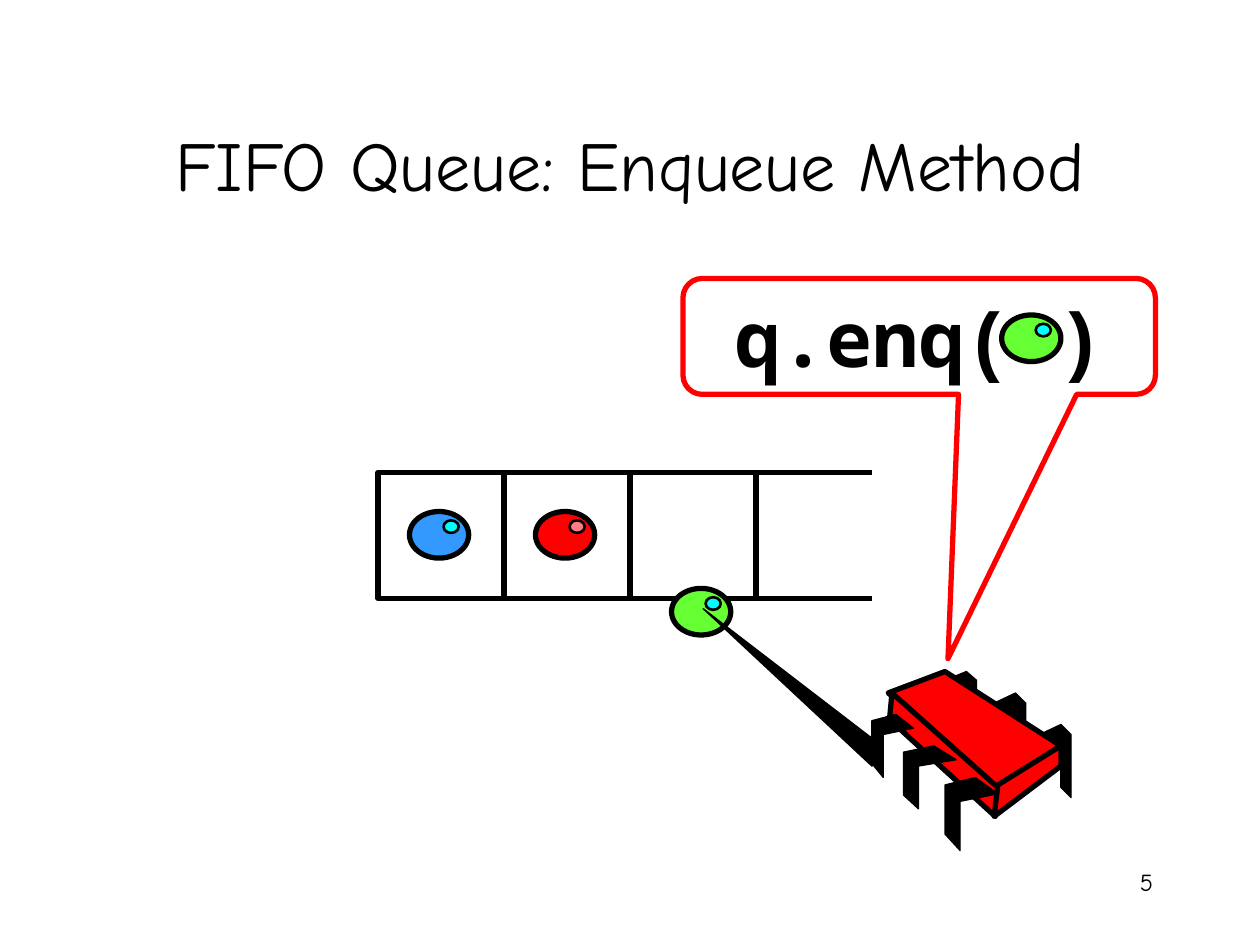
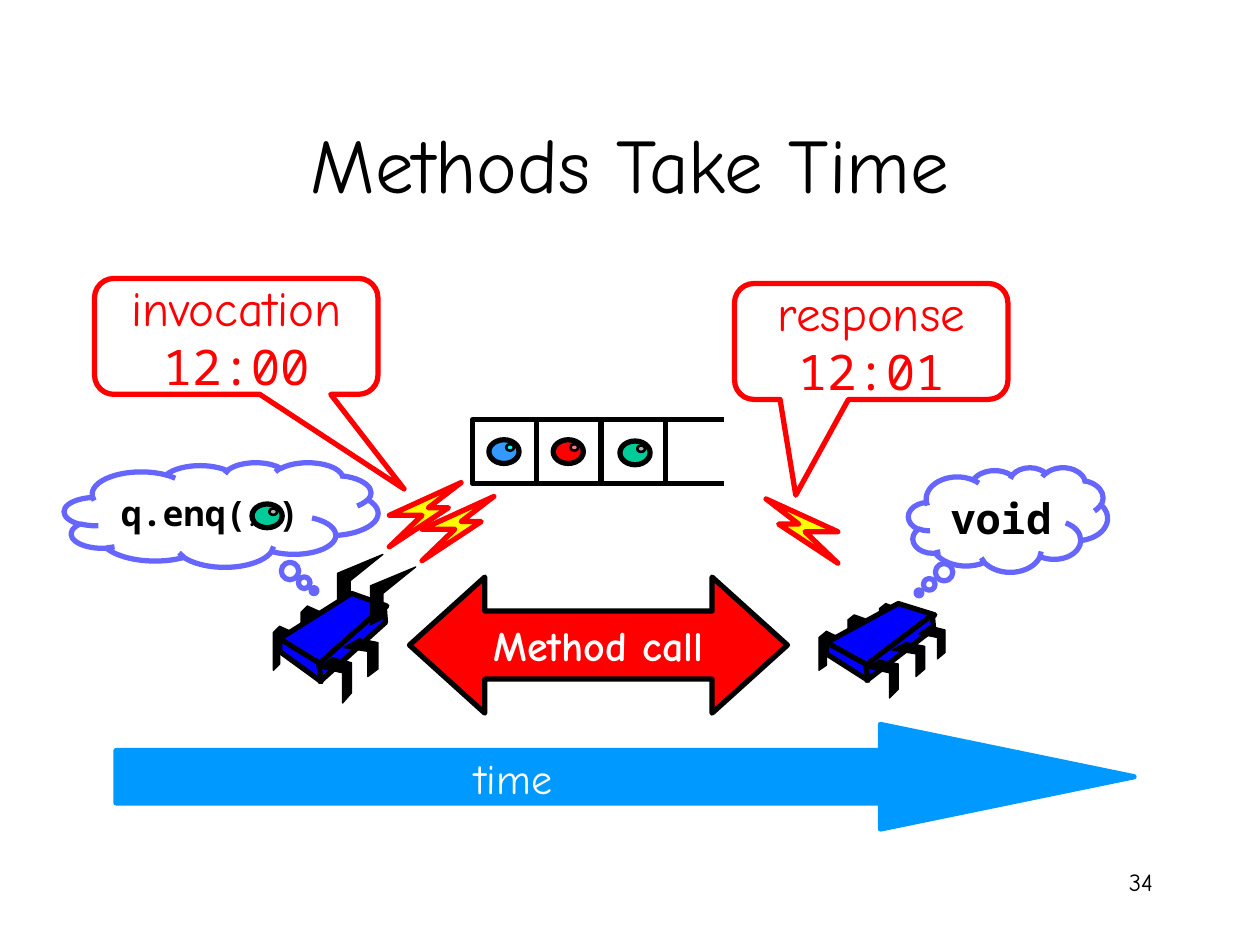
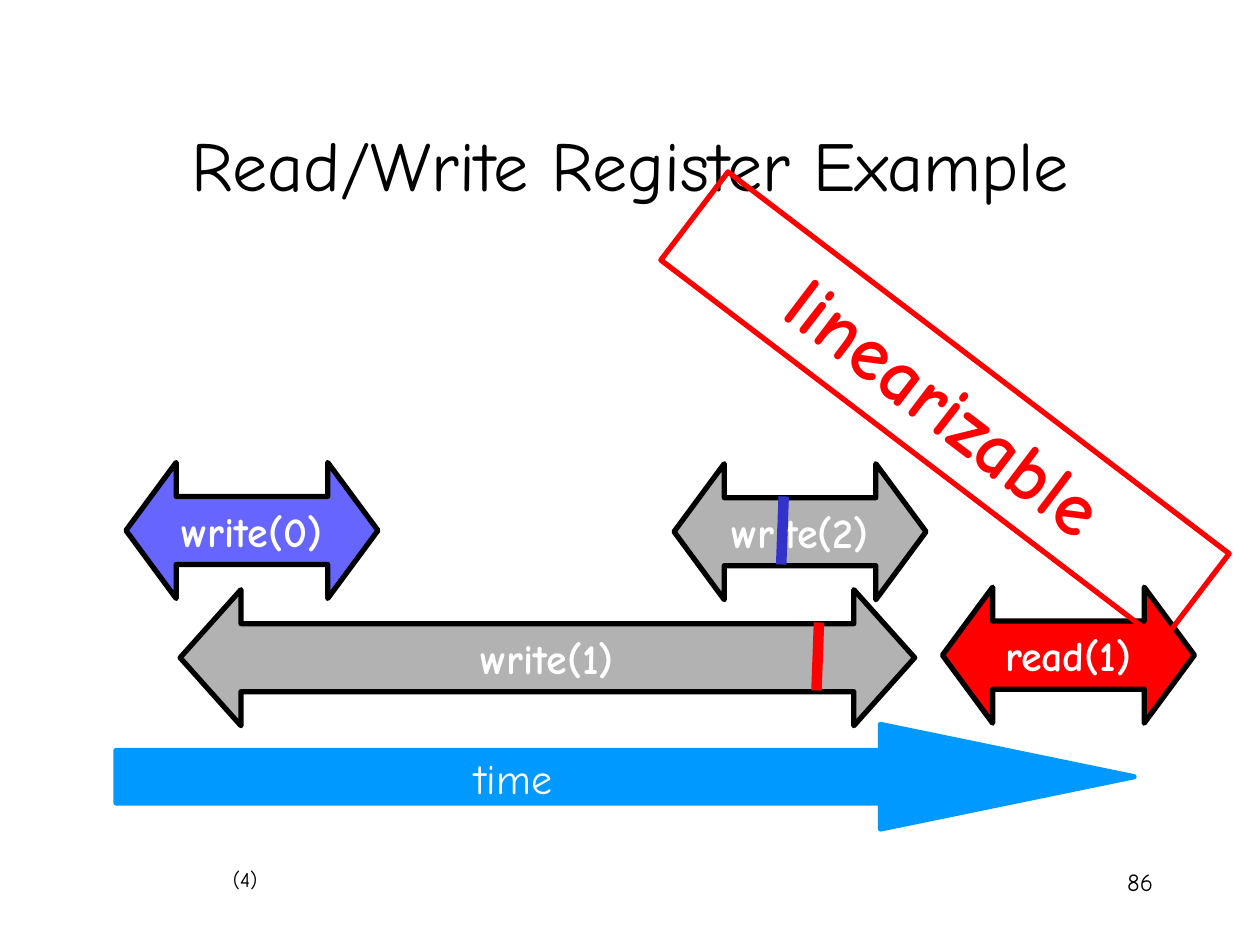
"""Build three slides on concurrent queues, method calls and register histories."""
from dataclasses import dataclass

from pptx import Presentation
from pptx.dml.color import RGBColor
from pptx.enum.shapes import MSO_CONNECTOR, MSO_SHAPE
from pptx.enum.text import MSO_ANCHOR, PP_ALIGN
from pptx.oxml.ns import qn
from pptx.util import Emu, Pt

PX = 9144
STRAIGHT = MSO_CONNECTOR.STRAIGHT
RECT, OVAL = MSO_SHAPE.RECTANGLE, MSO_SHAPE.OVAL
BUBBLE, CLOUD = MSO_SHAPE.ROUNDED_RECTANGULAR_CALLOUT, MSO_SHAPE.CLOUD_CALLOUT
SPAN, ARROW = MSO_SHAPE.LEFT_RIGHT_ARROW, MSO_SHAPE.RIGHT_ARROW
LEFT, CENTER, RIGHT = PP_ALIGN.LEFT, PP_ALIGN.CENTER, PP_ALIGN.RIGHT
TOP, MIDDLE = MSO_ANCHOR.TOP, MSO_ANCHOR.MIDDLE
TITLE_ONLY = 5


@dataclass(frozen=True)
class Theme:
    """Colours, fonts, type sizes and line widths of the deck."""
    black: str = "000000"
    white: str = "FFFFFF"
    red: str = "FF0000"
    pink: str = "FF7C80"
    blue: str = "3399FF"
    deep_blue: str = "0000FF"
    mark_blue: str = "3333CC"
    time_blue: str = "0099FF"
    violet: str = "6666FF"
    cyan: str = "00FFFF"
    green: str = "66FF33"
    teal: str = "00CC99"
    grey: str = "B2B2B2"
    yellow: str = "FFFF00"
    hand: str = "Comic Neue"
    code: str = "Noto Sans Mono"
    paren: str = "Courier New"
    big: int = 44
    title: int = 40
    event: int = 28
    label: int = 24
    call: int = 20
    page: int = 14
    step: int = 12
    dots: int = 10
    hair: float = 0.75
    thin: float = 1.5
    line: float = 3
    mark: float = 6


T = Theme()
TITLE_BOX = (75, 67, 850, 125)
PAGE_BOX = (717, 683, 208, 50)
TIME_ARROW = (92, 575, 808, 83)
TIME_LABEL = (367, 592, 89, 50)
SPAN_HEIGHT = 108

BALL_SIZE = (47, 37)
GLINT = (27, 7, 12, 10)
BALLS = {"blue": (T.blue, T.cyan), "red": (T.red, T.pink),
         "green": (T.green, T.cyan), "teal": (T.teal, T.grey)}

REAR_LEG = [(0, 8), (17, 0), (25, 8), (25, 58), (17, 50), (17, 17), (0, 25)]
FRONT_LEG = [(24, 0), (42, 13), (12, 19), (12, 58), (0, 45), (0, 6)]
REAR_LEGS = [(133, 42, 1, 1), (97, 17, 1, 1), (58, 0, 1, 0.86)]
FRONT_LEGS = [(58, 84, 1, 1), (25, 59, 1, 0.86), (0, 34, 0.79, 0.86)]
BODY = [
    [(58, 0), (150, 59), (98, 93), (13, 17)],
    [(16, 17), (100, 92), (98, 115), (14, 38)],
    [(150, 59), (150, 75), (97, 115), (100, 90)],
]
ARM = [(134, 125), (142, 109), (0, 0)]
CLAW = [(0, 46), (10, 41), (10, 21), (36, 0), (0, 15)]
BOLT = [(0, 51), (26, 26), (0, 26), (57, 0), (31, 20), (47, 20)]

SLIDES = [
    ("FIFO Queue: Enqueue Method", T.title, "5", [
        ("queue", 300, 375, 100),
        ("ball", "blue", 325, 406),
        ("ball", "red", 425, 406),
        ("ball", "green", 533, 467),
        ("bug", T.red, 692, 533, 1, 1),
        ("limb", ARM, 558, 483),
        ("callout", BUBBLE, (542, 221, 375, 92), (0.061, 2.78, 0.167), T.red, T.black, True,
         [("q.enq", T.code, T.big), ("( )", T.paren, T.big)]),
        ("ball", "green", 795, 250),
    ]),
    ("Methods Take Time", T.big, "34", [
        ("queue", 375, 333, 51),
        ("ball", "blue", 388, 349, 0.51),
        ("ball", "red", 439, 349, 0.51),
        ("ball", "teal", 492, 350, 0.51),
        ("span", "Method call", 325, 458, 300, 0.554, T.red),
        ("callout", BUBBLE, (75, 221, 225, 92), (0.592, 1.316, 0.167), T.red, T.red, False,
         [("invocation ", T.hand, T.event), ("12:00", T.code, T.event)]),
        ("bolt", 309, 383),
        ("limb", CLAW, 268, 440),
        ("bug", T.deep_blue, 315, 471, -0.62, 0.61, 2),
        ("limb", CLAW, 294, 450),
        ("bolt", 335, 394),
        ("callout", CLOUD, (51, 367, 249, 83), (0.296, 0.727), T.violet, T.black, True,
         [("q.enq(", T.code, T.call), ("...", T.code, T.dots), (")", T.code, T.call)]),
        ("ball", "teal", 200, 400, 0.51),
        ("time",),
        ("bug", T.deep_blue, 750, 479, -0.63, 0.53),
        ("callout", CLOUD, (721, 371, 158, 83), (-0.447, 0.7), T.violet, T.black, True,
         [("void", T.code, T.label)]),
        ("bolt", 665, 396, -1),
        ("callout", BUBBLE, (583, 225, 217, 92), (-0.276, 1.326, 0.167), T.red, T.red, False,
         [("response ", T.hand, T.event), ("12:01", T.code, T.event)]),
    ]),
    ("Read/Write Register Example", T.title, "86", [
        ("span", "write(0)", 100, 367, 200, 0.369, T.violet),
        ("time",),
        ("span", "read(1)", 748, 466, 200, 0.369, T.red),
        ("span", "write(1)", 143, 468, 583, 0.447, T.grey),
        ("stroke", (650, 494), (648, 548), T.red, T.mark),
        ("span", "write(2)", 535, 368, 200, 0.369, T.grey),
        ("stroke", (622, 394), (620, 448), T.mark_blue, T.mark),
        ("stamp", "linearizable", (500, 279, 500, 88), 37.3),
        ("label", "(4)", (175, 683, 43, 30), T.step, T.black, LEFT),
    ]),
]


def emu(lengths):
    return [Emu(round(length * PX)) for length in lengths]


def rgb(colour):
    return RGBColor.from_string(colour)


def write(frame, runs, colour, bold=False, align=CENTER, anchor=MIDDLE, wrap=True):
    frame.word_wrap = wrap
    frame.vertical_anchor = anchor
    paragraph = frame.paragraphs[0]
    paragraph.alignment = align
    font = paragraph.font
    _, font.name, size = runs[0]
    font.size = Pt(size)
    font.bold = bold
    font.color.rgb = rgb(colour)
    for words, face, points in runs:
        run = paragraph.add_run()
        run.text = words
        if face != font.name:
            run.font.name = face
        if points != size:
            run.font.size = Pt(points)


def paint(shape, fill, line, weight):
    shape.shadow.inherit = False
    if fill:
        shape.fill.solid()
        shape.fill.fore_color.rgb = rgb(fill)
    else:
        shape.fill.background()
    shape.line.color.rgb = rgb(line)
    shape.line.width = Pt(weight)


def preset(shapes, kind, box, fill, line, weight=T.line, adjust=()):
    shape = shapes.add_shape(kind, *emu(box))
    for index, value in enumerate(adjust):
        shape.adjustments[index] = value
    paint(shape, fill, line, weight)
    return shape


def place(points, x, y, scale_x, scale_y):
    return [(x + px * scale_x, y + py * scale_y) for px, py in points]


def outline(shapes, points, fill, line, weight):
    builder = shapes.build_freeform(*points[0], scale=PX)
    builder.add_line_segments(points[1:], close=True)
    paint(builder.convert_to_shape(), fill, line, weight)


def limb(shapes, points, x, y):
    outline(shapes, place(points, x, y, 1, 1), T.black, T.black, T.hair)


def bolt(shapes, x, y, direction=1):
    outline(shapes, place(BOLT, x, y, direction, 1), T.yellow, T.red, T.line)


def bug(shapes, colour, x, y, scale_x, scale_y, pairs=3):
    rear = [place(REAR_LEG, *leg) for leg in REAR_LEGS[:pairs]]
    front = [place(FRONT_LEG, *leg) for leg in FRONT_LEGS[:pairs]]
    for parts, fill, weight in ((rear, T.black, T.hair), (BODY, colour, T.line),
                                (front, T.black, T.hair)):
        for points in parts:
            outline(shapes, place(points, x, y, scale_x, scale_y), fill, T.black, weight)


def ball(shapes, name, x, y, scale=1):
    body, glint = BALLS[name]
    left, top, width, height = (length * scale for length in GLINT)
    preset(shapes, OVAL, (x, y, *(side * scale for side in BALL_SIZE)), body, T.black)
    preset(shapes, OVAL, (x + left, y + top, width, height), glint, T.black, T.thin)


def stroke(shapes, start, end, colour, weight):
    connector = shapes.add_connector(STRAIGHT, *emu(start + end))
    connector.line.color.rgb = rgb(colour)
    connector.line.width = Pt(weight)
    properties = connector._element.spPr
    properties.append(properties.makeelement(qn("a:effectLst"), {}))


def queue(shapes, x, y, side, cells=3):
    for cell in range(cells):
        preset(shapes, RECT, (x + cell * side, y, side, side), None, T.black)
    rail = x + cells * side - side * 0.08
    for edge in (y, y + side):
        stroke(shapes, (rail, edge), (rail + side, edge), T.black, T.line)


def callout(shapes, kind, box, adjust, line, colour, bold, runs):
    shape = preset(shapes, kind, box, None, line, adjust=adjust)
    write(shape.text_frame, runs, colour, bold)


def span(shapes, words, x, y, width, head, fill):
    shape = preset(shapes, SPAN, (x, y, width, SPAN_HEIGHT), fill, T.black, adjust=(0.5, head))
    write(shape.text_frame, [(words, T.hand, T.label)], T.white, True, wrap=False)


def stamp(shapes, words, box, angle):
    shape = preset(shapes, RECT, box, None, T.red)
    shape.rotation = angle
    write(shape.text_frame, [(words, T.hand, T.big)], T.red, True, anchor=TOP)


def label(shapes, words, box, size, colour, align):
    frame = shapes.add_textbox(*emu(box)).text_frame
    write(frame, [(words, T.hand, size)], colour, align=align, anchor=TOP, wrap=align == RIGHT)


def time(shapes):
    preset(shapes, ARROW, TIME_ARROW, T.time_blue, T.time_blue, adjust=(0.5, 2.425))
    label(shapes, "time", TIME_LABEL, T.label, T.white, LEFT)


DRAW = {"queue": queue, "ball": ball, "bug": bug, "limb": limb, "bolt": bolt,
        "callout": callout, "span": span, "stroke": stroke, "stamp": stamp,
        "label": label, "time": time}


def main():
    deck = Presentation()
    deck.slide_width, deck.slide_height = emu((1000, 750))
    for heading, size, page, parts in SLIDES:
        slide = deck.slides.add_slide(deck.slide_layouts[TITLE_ONLY])
        title = slide.shapes.title
        title.left, title.top, title.width, title.height = emu(TITLE_BOX)
        write(title.text_frame, [(heading, T.hand, size)], T.black)
        label(slide.shapes, page, PAGE_BOX, T.page, T.black, RIGHT)
        for kind, *details in parts:
            DRAW[kind](slide.shapes, *details)
    deck.save("out.pptx")


if __name__ == "__main__":
    main()
